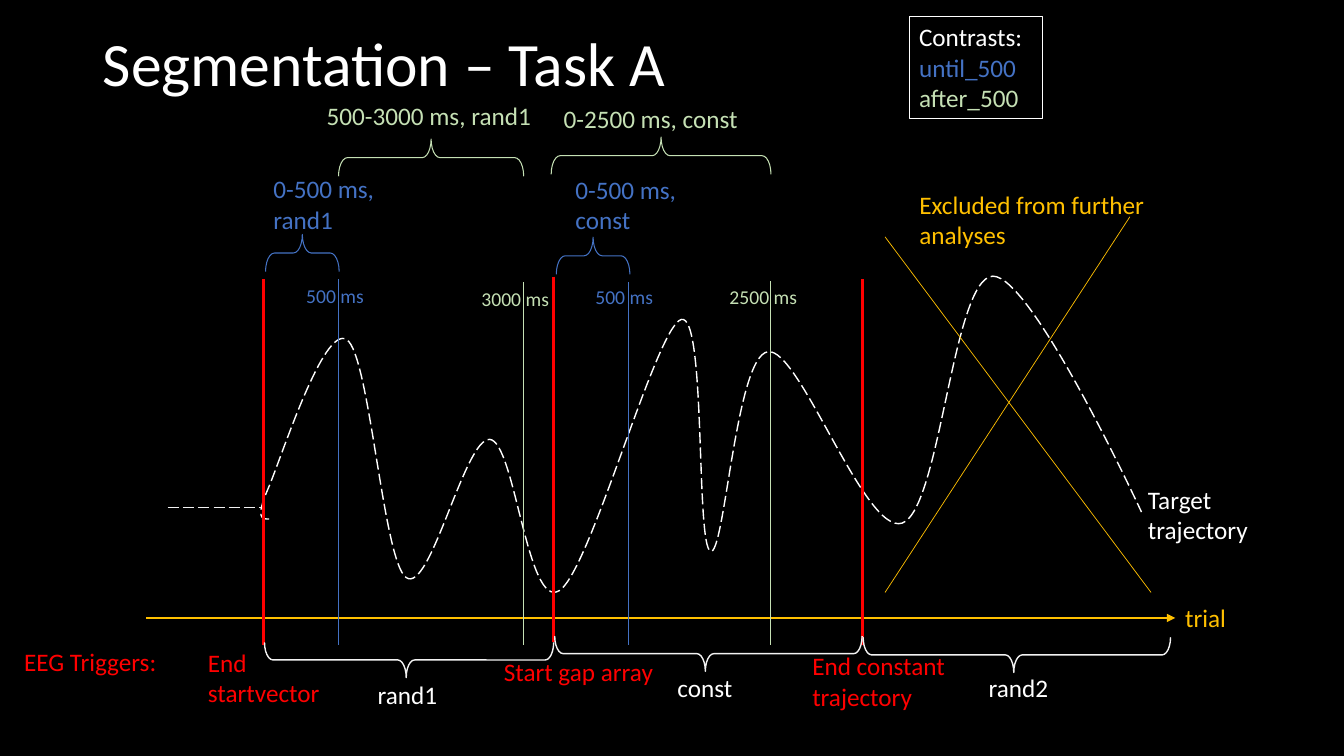
from dataclasses import dataclass

from lxml import etree
from pptx import Presentation
from pptx.dml.color import RGBColor
from pptx.enum.dml import MSO_LINE
from pptx.enum.shapes import MSO_CONNECTOR, MSO_SHAPE
from pptx.enum.text import MSO_ANCHOR, MSO_AUTO_SIZE, PP_ALIGN
from pptx.oxml.ns import qn
from pptx.util import Pt

FONT = "Calibri"
BLACK = RGBColor(0x00, 0x00, 0x00)
WHITE = RGBColor(0xFF, 0xFF, 0xFF)
OFF_WHITE = RGBColor(0xF2, 0xF2, 0xF2)
RED = RGBColor(0xFF, 0x00, 0x00)
BLUE = RGBColor(0x44, 0x72, 0xC4)
GREEN = RGBColor(0xC5, 0xE0, 0xB4)
GOLD = RGBColor(0xFF, 0xC0, 0x00)


@dataclass(frozen=True)
class Line:
    """A straight line between two points."""
    x1: float
    y1: float
    x2: float
    y2: float
    color: RGBColor
    width: float
    dashed: bool = False
    arrow: bool = False


@dataclass(frozen=True)
class Brace:
    """A horizontal brace, given by the area it covers on the slide."""
    left: float
    top: float
    length: float
    depth: float
    color: RGBColor
    width: float
    opens_down: bool


@dataclass(frozen=True)
class Label:
    """A text box; each line of text is a paragraph."""
    text: str
    left: float
    top: float
    width: float
    color: RGBColor
    size: float = 18
    lines: int = 1


AXIS = Line(104.4, 441.4, 839.5, 441.4, GOLD, 1.5, arrow=True)
START_VECTOR = Line(119.8, 362.4, 186.5, 362.4, OFF_WHITE, 1, dashed=True)
TRIGGERS = [Line(x, top, x, bottom, RED, 2.25) for x, top, bottom in (
    (188.2, 199.4, 460.8), (395.3, 197.6, 458.6), (615.9, 199.4, 460.8))]
TIME_MARKS = [Line(x, top, x, 460.8, color, 0.75) for x, top, color in (
    (241.9, 199.4, BLUE), (448.9, 201.6, BLUE),
    (550.1, 200.9, GREEN), (374.1, 201.6, GREEN))]
EXCLUSION_CROSS = [Line(632.2, 169.2, 822.2, 423.2, GOLD, 0.5),
                   Line(807.1, 154.8, 632.2, 423.2, GOLD, 0.5)]

WINDOW_BRACES = [Brace(left, top, length, 26.6, color, 0.75, True)
                 for left, top, length, color in (
                     (189.7, 167.4, 52.6, BLUE), (397.4, 169.4, 52.6, BLUE),
                     (241.8, 99.3, 132.3, GREEN), (393.7, 97.9, 157, GREEN))]
SEGMENT_BRACES = [Brace(left, top, length, 25.2, OFF_WHITE, 1, False)
                  for left, top, length in (
                      (188.9, 458.8, 206.6), (396.2, 454.3, 219.6),
                      (616.5, 455.2, 219.6))]

LABELS = [
    Label("trial", 839.5, 427, 75.6, GOLD),
    Label("EEG Triggers:", 10.1, 457.9, 140.4, RED),
    Label("End \nstartvector", 141.4, 458.6, 140.4, RED, lines=2),
    Label("Start gap array", 352.8, 465.1, 140.4, RED),
    Label("End constant trajectory", 573.1, 461.2, 140.4, RED, lines=2),
    Label("Target \ntrajectory", 812.9, 342.3, 140.4, WHITE, lines=2),
    Label("rand1", 262.6, 481.7, 140.4, WHITE),
    Label("const", 476.8, 476.8, 140.4, WHITE),
    Label("rand2", 699.1, 476.6, 140.4, WHITE),
    Label("0-500 ms,\nrand1", 188.2, 120.5, 225.4, BLUE, lines=2),
    Label("0-500 ms, \nconst", 403.9, 121, 225.4, BLUE, lines=2),
    Label("500-3000 ms, rand1", 226.3, 68.4, 295.2, GREEN),
    Label("0-2500 ms, const", 395.5, 70.2, 295.2, GREEN),
    Label("Excluded from further analyses", 649.6, 131.8, 225.4, GOLD, lines=2),
    Label("500 ms", 211.7, 199.4, 225.4, BLUE, 14),
    Label("3000 ms", 336.8, 201.6, 225.4, GREEN, 14),
    Label("500 ms", 418.2, 199.8, 225.4, BLUE, 14),
    Label("2500 ms", 514, 200.2, 225.4, GREEN, 14),
]

# Each row: two control points and the end point of one Bezier curve.
TRAJECTORY_TOP_LEFT = (186.5, 197.3)
TRAJECTORY_BOTTOM_RIGHT = (815.4, 422.7)
TRAJECTORY_START = (192.2, 370.8)
TRAJECTORY = [
    ((187.2, 370.8), (182.2, 370.8), (191.5, 349.2)),
    ((200.9, 327.6), (231.1, 231.8), (247.7, 242.6)),
    ((264.2, 253.4), (273.6, 401.0), (290.2, 412.6)),
    ((307.4, 424.8), (331.9, 312.5), (349.9, 313.9)),
    ((367.9, 315.4), (376.6, 436.3), (399.6, 421.9)),
    ((421.9, 407.5), (468.7, 233.3), (486.7, 228.2)),
    ((504.7, 223.9), (496.8, 389.5), (507.6, 393.8)),
    ((517.7, 397.4), (525.6, 254.2), (548.6, 251.3)),
    ((571.0, 247.7), (617.8, 382.3), (644.4, 373.7)),
    ((671.8, 364.3), (680.4, 198.7), (709.2, 197.3)),
    ((737.3, 196.6), (815.4, 365.8), (815.4, 365.8)),
]


def style_outline(shape, color: RGBColor, width: float) -> None:
    """Leave a shape unfilled and unshadowed, with a plain outline."""
    shape.shadow.inherit = False
    shape.fill.background()
    shape.line.color.rgb = color
    shape.line.width = Pt(width)


def style_font(paragraph, color: RGBColor, size: float) -> None:
    """Set the font of every run in a paragraph."""
    for run in paragraph.runs:
        run.font.name = FONT
        run.font.size = Pt(size)
        run.font.color.rgb = color


def draw_line(slide, line: Line) -> None:
    """Draw a line, dashed or arrow-headed where asked."""
    connector = slide.shapes.add_connector(
        MSO_CONNECTOR.STRAIGHT, Pt(line.x1), Pt(line.y1), Pt(line.x2), Pt(line.y2))
    connector.line.color.rgb = line.color
    connector.line.width = Pt(line.width)
    if line.dashed:
        connector.line.dash_style = MSO_LINE.LONG_DASH
    properties = connector._element.spPr
    if line.arrow:
        etree.SubElement(properties.find(qn("a:ln")), qn("a:tailEnd"), type="triangle")
    etree.SubElement(properties, qn("a:effectLst"))


def draw_brace(slide, brace: Brace) -> None:
    """Draw a right brace turned a quarter about the centre of its area."""
    center_x = brace.left + brace.length / 2
    center_y = brace.top + brace.depth / 2
    shape = slide.shapes.add_shape(
        MSO_SHAPE.RIGHT_BRACE,
        Pt(center_x - brace.depth / 2), Pt(center_y - brace.length / 2),
        Pt(brace.depth), Pt(brace.length))
    shape.rotation = 270 if brace.opens_down else 90
    shape.adjustments[0] = 0.24
    shape.adjustments[1] = 0.5 if brace.opens_down else 0.51
    style_outline(shape, brace.color, brace.width)


def draw_label(slide, label: Label) -> None:
    """Draw a wrapping text box."""
    height = 7.2 + 1.22 * label.size * label.lines
    box = slide.shapes.add_textbox(
        Pt(label.left), Pt(label.top), Pt(label.width), Pt(height))
    frame = box.text_frame
    frame.word_wrap = True
    frame.auto_size = MSO_AUTO_SIZE.SHAPE_TO_FIT_TEXT
    frame.text = label.text
    for paragraph in frame.paragraphs:
        style_font(paragraph, label.color, label.size)


def add_path_step(path, kind: str, points) -> None:
    """Append one drawing step to a path, relative to the curve's corner."""
    step = etree.SubElement(path, qn(kind))
    left, top = TRAJECTORY_TOP_LEFT
    for x, y in points:
        etree.SubElement(step, qn("a:pt"), x=str(int(Pt(x - left))), y=str(int(Pt(y - top))))


def draw_trajectory(slide) -> None:
    """Draw the dashed target trajectory as Bezier curves in a freeform."""
    builder = slide.shapes.build_freeform(*map(Pt, TRAJECTORY_TOP_LEFT))
    builder.add_line_segments([tuple(map(Pt, TRAJECTORY_BOTTOM_RIGHT))], close=False)
    curve = builder.convert_to_shape()
    path = curve._element.spPr.find(".//" + qn("a:path"))
    for step in list(path):
        path.remove(step)
    add_path_step(path, "a:moveTo", [TRAJECTORY_START])
    for points in TRAJECTORY:
        add_path_step(path, "a:cubicBezTo", points)
    style_outline(curve, WHITE, 1)
    curve.line.dash_style = MSO_LINE.LONG_DASH


def draw_title(slide) -> None:
    """Place and format the title placeholder."""
    title = slide.shapes.title
    title.left, title.top, title.width, title.height = Pt(66.2), Pt(-5), Pt(828), Pt(104.4)
    title.text_frame.text = "Segmentation – Task A"
    title.text_frame.vertical_anchor = MSO_ANCHOR.MIDDLE
    paragraph = title.text_frame.paragraphs[0]
    paragraph.alignment = PP_ALIGN.LEFT
    paragraph.line_spacing = 0.9
    style_font(paragraph, WHITE, 44)


def draw_contrasts(slide) -> None:
    """Draw the framed list of contrasts."""
    box = slide.shapes.add_shape(
        MSO_SHAPE.RECTANGLE, Pt(649.4), Pt(11.9), Pt(95.5), Pt(72.7))
    style_outline(box, WHITE, 0.75)
    frame = box.text_frame
    frame.word_wrap = True
    frame.auto_size = MSO_AUTO_SIZE.SHAPE_TO_FIT_TEXT
    frame.vertical_anchor = MSO_ANCHOR.TOP
    frame.text = "Contrasts:\nuntil_500\nafter_500"
    for paragraph, color in zip(frame.paragraphs, (WHITE, BLUE, GREEN)):
        paragraph.alignment = PP_ALIGN.LEFT
        style_font(paragraph, color, 18)


prs = Presentation()
prs.slide_width, prs.slide_height = Pt(960), Pt(540)
slide = prs.slides.add_slide(prs.slide_layouts[5])
slide.background.fill.solid()
slide.background.fill.fore_color.rgb = BLACK

draw_title(slide)
draw_line(slide, AXIS)
draw_trajectory(slide)
for line in [START_VECTOR, *TRIGGERS, *TIME_MARKS, *EXCLUSION_CROSS]:
    draw_line(slide, line)
for brace in WINDOW_BRACES + SEGMENT_BRACES:
    draw_brace(slide, brace)
for label in LABELS:
    draw_label(slide, label)
draw_contrasts(slide)
prs.save("out.pptx")
